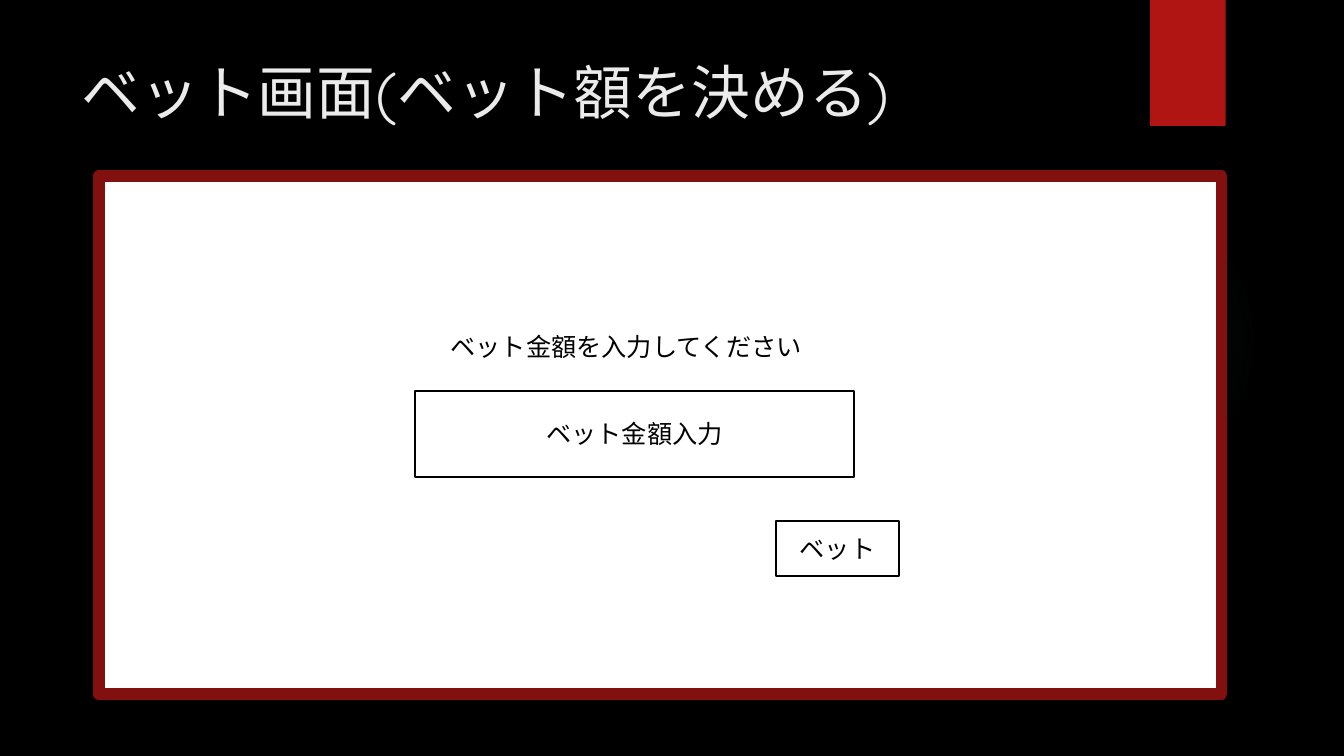
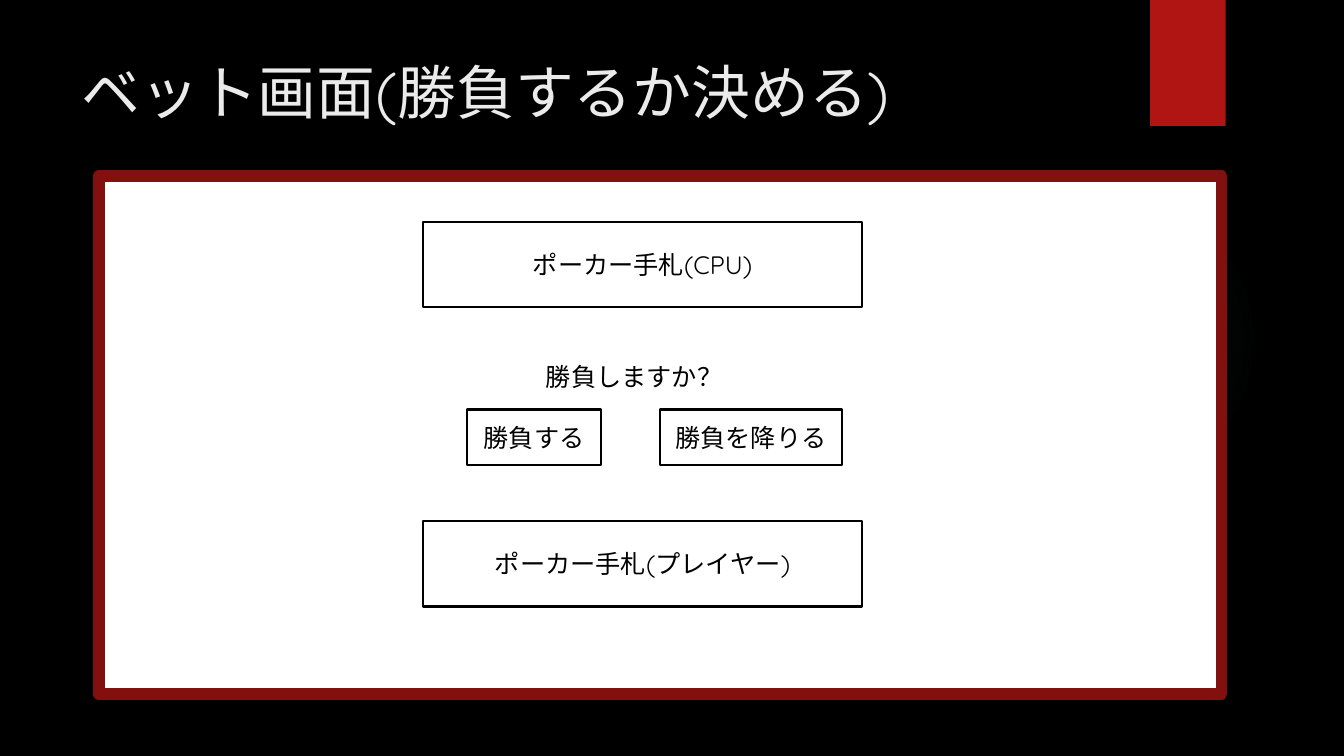
from dataclasses import dataclass

from lxml import etree
from pptx import Presentation
from pptx.dml.color import RGBColor
from pptx.enum.shapes import MSO_SHAPE
from pptx.enum.text import MSO_ANCHOR, MSO_AUTO_SIZE, PP_ALIGN
from pptx.util import Pt

RECTANGLE = MSO_SHAPE.RECTANGLE
OVAL = MSO_SHAPE.OVAL
TOP = MSO_ANCHOR.TOP
MIDDLE = MSO_ANCHOR.MIDDLE
LEFT = PP_ALIGN.LEFT
CENTER = PP_ALIGN.CENTER
NO_AUTOFIT = MSO_AUTO_SIZE.NONE

FONT = "Quicksand"
COLORS = {
    "background": "000000",
    "title": "EBEBEB",
    "ribbon": "B01513",
    "screen": "FFFFFF",
    "screen_border": "82100E",
    "ink": "000000",
    "glow": "50B9C1",
}
DRAWING = "http://schemas.openxmlformats.org/drawingml/2006/main"
GLOW_STOPS = ((0, 7), (36, 6), (69, 0))


@dataclass(frozen=True)
class Area:
    left: float
    top: float
    width: float
    height: float

    def lengths(self) -> tuple:
        return Pt(self.left), Pt(self.top), Pt(self.width), Pt(self.height)


@dataclass(frozen=True)
class Item:
    text: str
    area: Area
    outlined: bool = True


@dataclass(frozen=True)
class Screen:
    title: str
    items: tuple


TITLE_AREA = Area(51, 36, 741, 110)
RIBBON_AREA = Area(821.5, 0, 54, 90)
GLOW_AREA = Area(677.5, 131.75, 221.75, 221.75)
SCREEN_AREA = Area(70.5, 126, 802, 369.5)


def panel(text: str, left: float, top: float) -> Item:
    return Item(text, Area(left, top, 313.5, 61.25))


def button(text: str, left: float, top: float, width: float) -> Item:
    return Item(text, Area(left, top, width, 39.5))


def prompt(text: str, left: float, top: float) -> Item:
    return Item(text, Area(left, top, 301.5, 36.5), outlined=False)


SCREENS = (
    Screen("ベット画面(ベット額を決める)", (
        panel("ベット金額入力", 296.5, 279.25),
        prompt("ベット金額を入力してください", 296.5, 229.5),
        button("ベット", 554.25, 372, 88),
    )),
    Screen("ベット画面(勝負するか決める)", (
        prompt("勝負しますか？", 302.25, 250.5),
        button("勝負を降りる", 471.5, 292.5, 129.75),
        button("勝負する", 333.5, 292.5, 96),
        panel("ポーカー手札(プレイヤー)", 302.25, 372),
        panel("ポーカー手札(CPU)", 302.25, 158.25),
    )),
)


def color(name: str) -> RGBColor:
    return RGBColor.from_string(COLORS[name])


def write(box, text: str, size: float, ink: str, align, anchor) -> None:
    frame = box.text_frame
    frame.text = text
    frame.word_wrap = True
    frame.auto_size = NO_AUTOFIT
    frame.vertical_anchor = anchor
    para = frame.paragraphs[0]
    para.alignment = align
    for span in para.runs:
        span.font.name = FONT
        span.font.size = Pt(size)
        span.font.color.rgb = color(ink)


def draw(page, kind, area: Area, fill: str = "", line: str = "", weight: float = 0):
    shape = page.shapes.add_shape(kind, *area.lengths())
    shape.shadow.inherit = False
    if fill:
        shape.fill.solid()
        shape.fill.fore_color.rgb = color(fill)
    else:
        shape.fill.background()
    if line:
        shape.line.color.rgb = color(line)
        shape.line.width = Pt(weight)
    else:
        shape.line.fill.background()
    return shape


def apply_glow(shape) -> None:
    stops = "".join(
        f'<a:gs pos="{position * 1000}"><a:srgbClr val="{COLORS["glow"]}">'
        f'<a:alpha val="{alpha * 1000}"/></a:srgbClr></a:gs>'
        for position, alpha in GLOW_STOPS
    )
    gradient = etree.fromstring(
        f'<a:gradFill xmlns:a="{DRAWING}" rotWithShape="1"><a:gsLst>{stops}</a:gsLst>'
        '<a:path path="circle"><a:fillToRect l="50000" t="50000" r="50000" b="50000"/>'
        "</a:path></a:gradFill>"
    )
    properties = shape.element.spPr
    properties.replace(properties.find(f"{{{DRAWING}}}noFill"), gradient)


def decorate_layout(layout, page) -> None:
    layout.background.fill.solid()
    layout.background.fill.fore_color.rgb = color("background")
    glow = draw(page, OVAL, GLOW_AREA)
    apply_glow(glow)
    ribbon = draw(page, RECTANGLE, RIBBON_AREA, "ribbon")
    for shape in (glow, ribbon):
        layout.shapes.element.append(shape.element)


def fill_page(page, screen: Screen) -> None:
    title = page.shapes.title
    title.left, title.top, title.width, title.height = TITLE_AREA.lengths()
    write(title, screen.title, 42, "title", LEFT, TOP)
    draw(page, RECTANGLE, SCREEN_AREA, "screen", "screen_border", 8.5)
    for item in screen.items:
        if item.outlined:
            box = draw(page, RECTANGLE, item.area, line="ink", weight=1.5)
        else:
            box = page.shapes.add_textbox(*item.area.lengths())
        write(box, item.text, 18, "ink", CENTER, MIDDLE)


def main() -> None:
    deck = Presentation()
    deck.slide_width, deck.slide_height = Pt(960), Pt(540)
    layout = deck.slide_layouts.get_by_name("Title Only")
    pages = [deck.slides.add_slide(layout) for _ in SCREENS]
    decorate_layout(layout, pages[0])
    for page, screen in zip(pages, SCREENS):
        fill_page(page, screen)
    deck.save("out.pptx")


if __name__ == "__main__":
    main()
